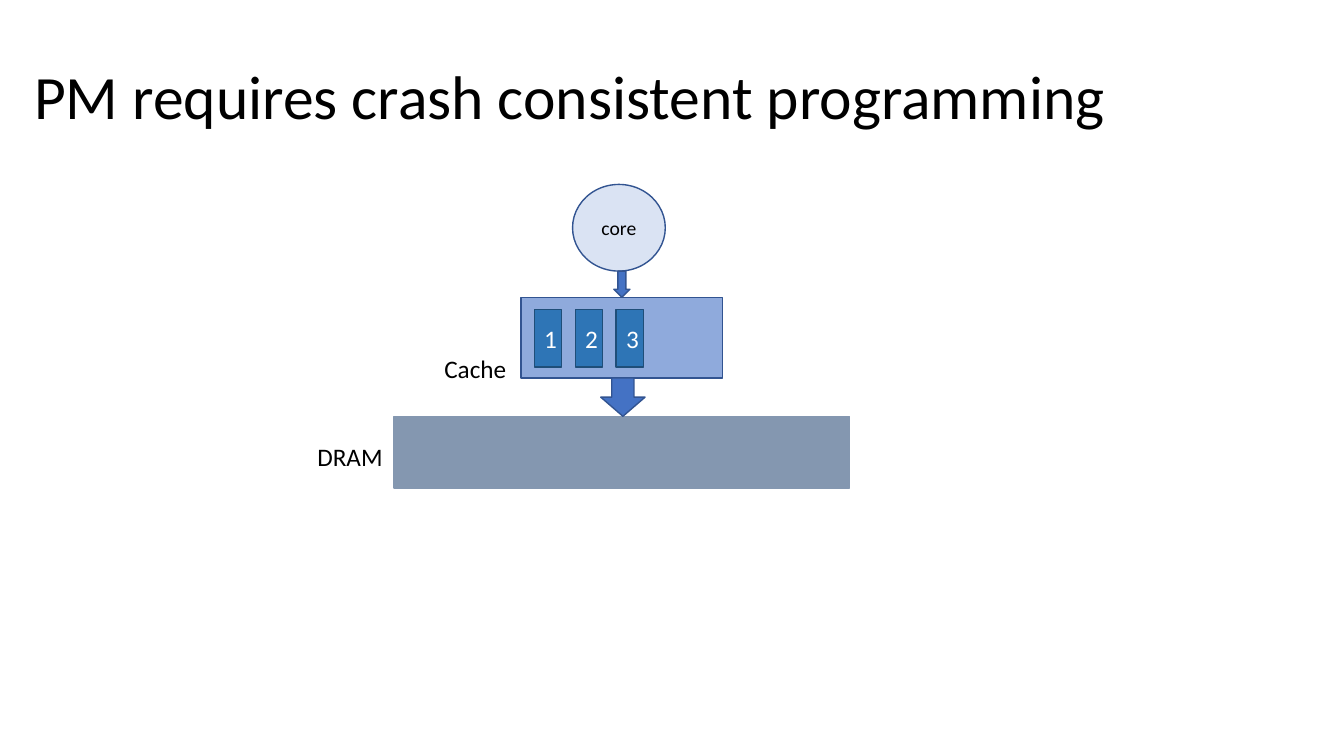
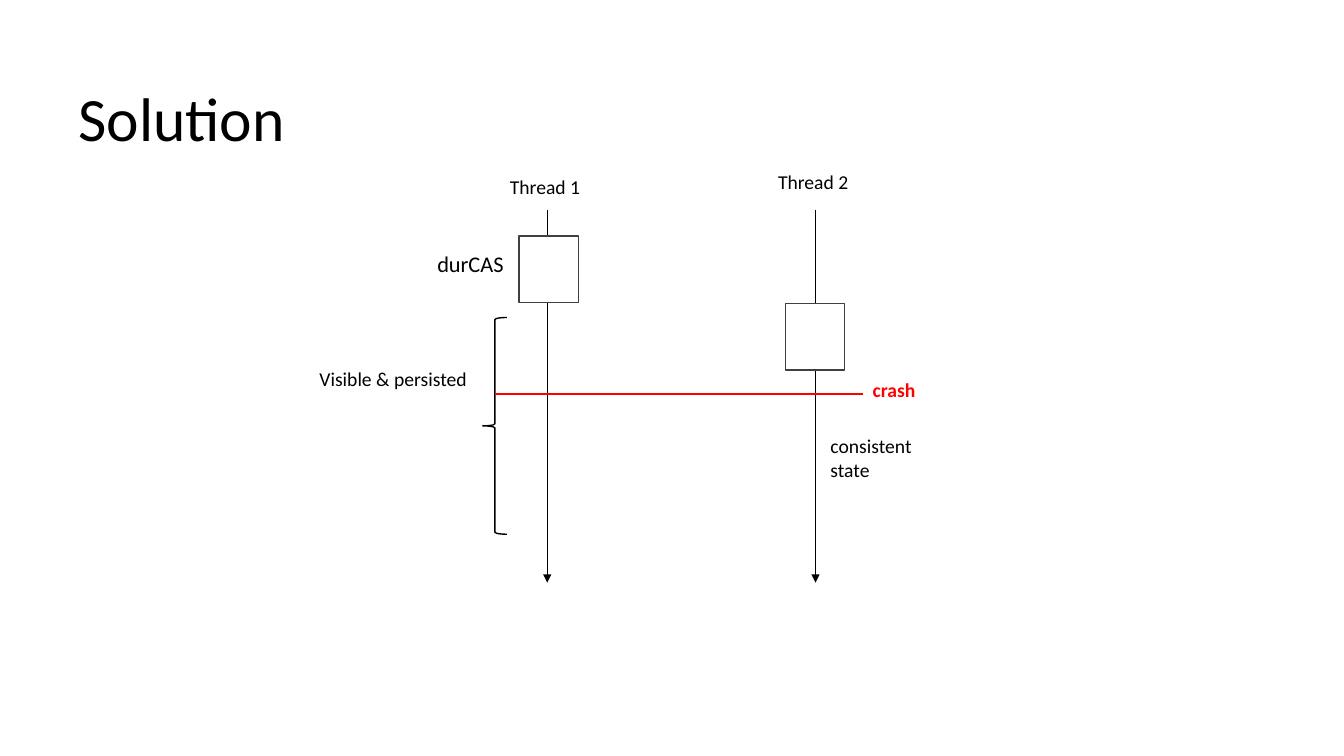
"""Two slides: a cache and DRAM diagram, and two thread timelines cut by a crash."""
from lxml import etree
from pptx import Presentation, util as u
from pptx.dml.color import RGBColor
from pptx.enum import shapes, text
from pptx.oxml.ns import qn

COLOURS = {
    "black": "000000", "white": "FFFFFF", "red": "FF0000", "outline": "325491",
    "core": "DAE3F3", "cache": "8FAADC", "memory": "8497B0", "arrow": "4472C4",
    "entry": "2E75B6", "entry edge": "1F4E79", "event edge": "404040",
}
TITLE = {"size": u.Pt(44)}
LABEL = {"size": u.Pt(18)}
CALL = {"size": u.Pt(16)}
NOTE = {"size": u.Pt(14)}
ALERT = {"size": u.Pt(14), "bold": True}
KIND = shapes.MSO_SHAPE

deck = Presentation()
deck.slide_width, deck.slide_height = u.Inches(13.333), u.Inches(7.5)
COLUMNS, ROWS = 40, 22.5
COLUMN, ROW = deck.slide_width / COLUMNS, deck.slide_height / ROWS
blank = deck.slide_layouts[6]


def put(page, at, words="", style=NOTE, ink="black", kind=None, fill=None, edge=None):
    """Place a text box, or a preset shape when a kind is given, on the grid."""
    place = [round(n * unit) for n, unit in zip(at, (COLUMN, ROW, COLUMN, ROW))]
    if kind is None:
        box = page.shapes.add_textbox(*place)
    else:
        box = page.shapes.add_shape(kind, *place)
        box.shadow.inherit = False
        box.line.color.rgb = RGBColor.from_string(COLOURS[edge])
        box.line.width = u.Pt(1)
        if fill:
            box.fill.solid()
            box.fill.fore_color.rgb = RGBColor.from_string(COLOURS[fill])
        else:
            box.fill.background()
    frame = box.text_frame
    frame.word_wrap = True
    if kind is not None or style is TITLE:
        frame.vertical_anchor = text.MSO_ANCHOR.MIDDLE
    for number, line in enumerate(words.split("\n") if words else []):
        para = frame.add_paragraph() if number else frame.paragraphs[0]
        para.alignment = text.PP_ALIGN.LEFT if kind is None else text.PP_ALIGN.CENTER
        if style is TITLE:
            para.line_spacing = 0.9
        span = para.add_run()
        span.text = line
        span.font.name = "Calibri"
        span.font.color.rgb = RGBColor.from_string(COLOURS[ink])
        for name, value in style.items():
            setattr(span.font, name, value)


def draw_line(page, start, end, ink, width, arrow=False):
    """Join two grid points, with an arrowhead at the end when asked."""
    points = [round(n * unit) for n, unit in zip(start + end, (COLUMN, ROW, COLUMN, ROW))]
    line = page.shapes.add_connector(shapes.MSO_CONNECTOR.STRAIGHT, *points)
    line.line.color.rgb = RGBColor.from_string(COLOURS[ink])
    line.line.width = u.Pt(width)
    if arrow:
        etree.SubElement(line.line._get_or_add_ln(), qn("a:tailEnd"), type="triangle")
    etree.SubElement(line._element.spPr, qn("a:effectLst"))


page = deck.slides.add_slide(blank)
put(page, (0.72, 1.2, 38.46, 3.5), "PM requires crash consistent programming", TITLE)
for kind, at, fill, edge, words in (
    (KIND.OVAL, (17.04, 5.49, 2.76, 2.58), "core", "outline", "core"),
    (KIND.RECTANGLE, (15.51, 8.85, 6, 2.4), "cache", "outline", ""),
    (KIND.RECTANGLE, (11.73, 12.39, 13.56, 2.13), "memory", "memory", ""),
    (KIND.DOWN_ARROW, (18.27, 8.07, 0.48, 0.78), "arrow", "outline", ""),
    (KIND.DOWN_ARROW, (17.88, 11.25, 1.32, 1.14), "arrow", "outline", ""),
):
    put(page, at, words, kind=kind, fill=fill, edge=edge)
put(page, (12.93, 10.38, 2.7, 1.2), "Cache", LABEL)
put(page, (9.15, 12.99, 2.7, 1.2), "DRAM", LABEL)
for entry in range(3):
    put(page, (15.9 + 1.22 * entry, 9.21, 0.81, 1.71), str(entry + 1), LABEL, "white",
        KIND.RECTANGLE, "entry", "entry edge")

page = deck.slides.add_slide(blank)
put(page, (2.04, 2.13, 34.5, 3), "Solution", TITLE)
for thread, axis, label_top, event_left, event_top in (
    (1, 16.29, 5.07, 15.45, 7.02),
    (2, 24.27, 4.92, 23.37, 9.03),
):
    draw_line(page, (axis, 6.24), (axis, 17.34), "black", 1, arrow=True)
    put(page, (axis - 1.41, label_top, 2.9, 1.02), f"Thread {thread}")
    put(page, (event_left, event_top, 1.77, 1.98), kind=KIND.RECTANGLE,
        fill="white", edge="event edge")
put(page, (12.72, 7.29, 2.75, 1.11), "durCAS", CALL)
put(page, (14.37, 9.45, 0.72, 6.45), kind=KIND.LEFT_BRACE, edge="black")
put(page, (9.21, 10.77, 6.15, 1.02), "Visible & persisted")
draw_line(page, (25.68, 11.73), (14.73, 11.73), "red", 1.5)
put(page, (25.68, 11.1, 2.1, 1.02), "crash", ALERT, "red")
put(page, (24.42, 12.78, 3.3, 1.71), "consistent\nstate")

deck.save("out.pptx")
